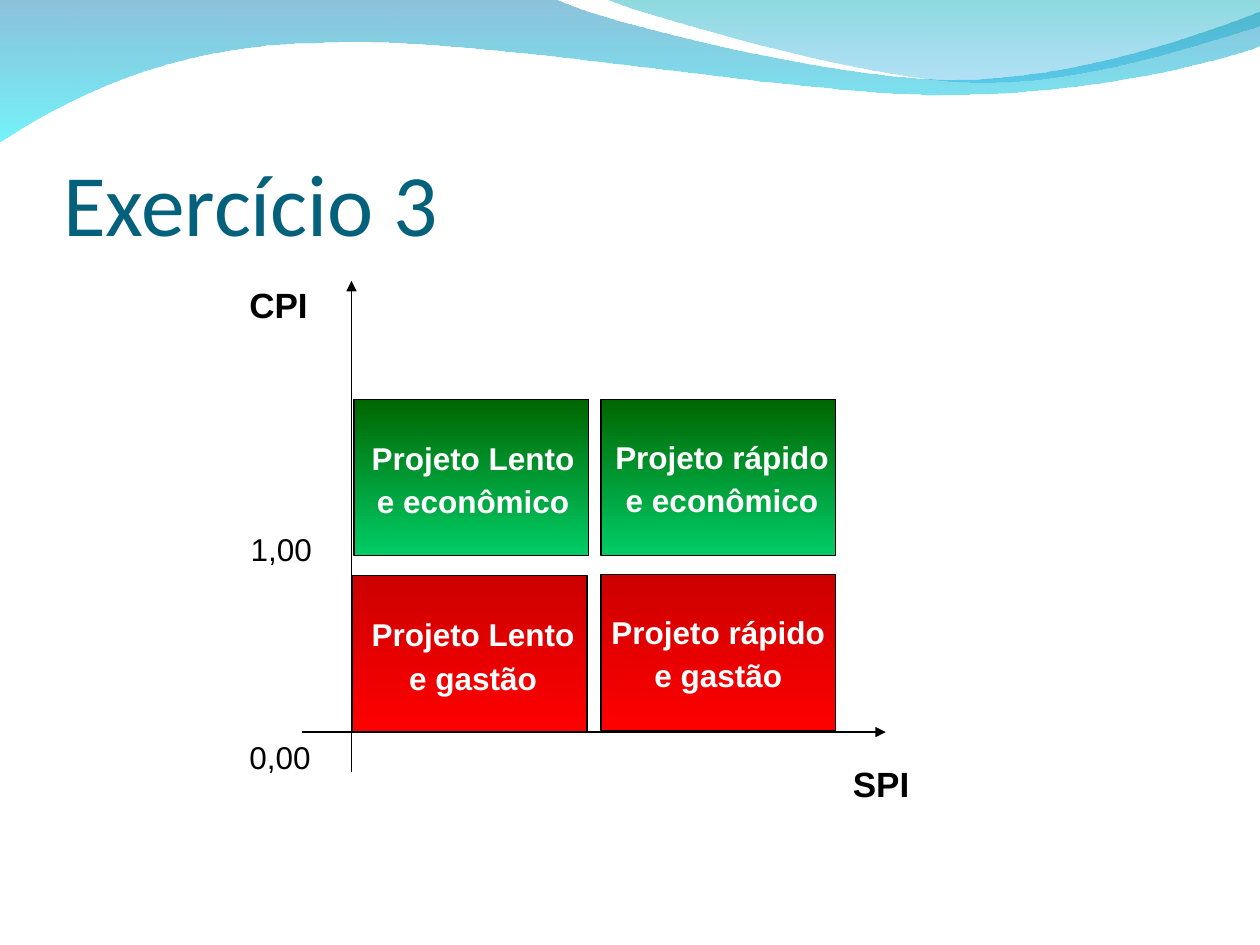
from lxml import etree
from pptx import Presentation
from pptx.dml.color import RGBColor
from pptx.enum import shapes, text
from pptx.oxml import ns
from pptx.util import Inches, Pt


def color(hex_value):
    return RGBColor.from_string(hex_value)


def fill_gradient(shape, stops):
    """Fill from top to bottom; each stop is (hex colour, opacity in percent)."""
    shape.fill.gradient()
    shape.fill.gradient_angle = 270
    for stop, (hex_value, opacity) in zip(shape.fill.gradient_stops, stops):
        stop.color.rgb = color(hex_value)
        if opacity < 100:
            for rgb in shape._element.spPr.iter(ns.qn("a:srgbClr")):
                if rgb.get("val") == hex_value:
                    etree.SubElement(rgb, ns.qn("a:alpha"), val=str(opacity * 1000))


def add_wave(slide, start, segments, stops):
    """A segment is one point for a line, or three points for a curve."""
    points = [(Inches(x), Inches(y)) for segment in segments for x, y in segment]
    builder = slide.shapes.build_freeform(*map(Inches, start))
    builder.add_line_segments(points, close=True)
    wave = builder.convert_to_shape()
    wave.shadow.inherit = False
    wave.line.fill.background()
    fill_gradient(wave, stops)

    # Join each group of three points into one cubic curve
    steps = iter(list(wave._element.spPr.iter(ns.qn("a:lnTo"))))
    for segment in segments:
        group = [next(steps) for _ in segment]
        if len(group) == 3:
            curve = etree.Element(ns.qn("a:cubicBezTo"))
            group[0].addprevious(curve)
            for step in group:
                curve.append(step[0])
                step.getparent().remove(step)


def add_header_waves(slide):
    add_wave(
        slide, (0, -0.01),
        [[(4.4, -0.01)],
         [(4.76, 0.17), (6.64, 0.63), (7.58, 0.63)],
         [(8.53, 0.63), (9.58, 0.26), (10, 0.09)],
         [(10.01, 0.36)],
         [(9.83, 0.44), (8.7, 0.76), (7.46, 0.75)],
         [(6.22, 0.75), (3.82, 0.28), (2.57, 0.34)],
         [(1.29, 0.35), (0.46, 0.83), (-0.01, 1.13)]],
        [("0079AF", 45), ("00EBF8", 55)],
    )
    add_wave(
        slide, (4.79, -0.01),
        [[(5.09, 0.11), (6.82, 0.62), (7.69, 0.65)],
         [(8.56, 0.69), (9.61, 0.32), (10, 0.21)],
         [(10, 0)]],
        [("00ADB6", 45), ("009BE5", 30)],
    )


def write(paragraph, words, size, hex_value, font="Arial", bold=False):
    run = paragraph.add_run()
    run.text = words
    run.font.name = font
    run.font.size = Pt(size)
    run.font.bold = bold
    run.font.color.rgb = color(hex_value)


def add_title(slide, left, top, width, height):
    title = slide.shapes.title
    title.left, title.top = Inches(left), Inches(top)
    title.width, title.height = Inches(width), Inches(height)
    frame = title.text_frame
    frame.margin_left = frame.margin_right = frame.margin_bottom = 0
    frame.margin_top = Inches(0.05)
    frame.vertical_anchor = text.MSO_ANCHOR.BOTTOM
    frame.paragraphs[0].alignment = text.PP_ALIGN.LEFT
    write(frame.paragraphs[0], "Exercício 3", 50, "04617B", font="Calibri")


def add_label(slide, left, top, width, height):
    box = slide.shapes.add_textbox(*map(Inches, (left, top, width, height)))
    box.text_frame.word_wrap = True
    box.text_frame.auto_size = text.MSO_AUTO_SIZE.SHAPE_TO_FIT_TEXT
    return box.text_frame.paragraphs[0]


def add_axis(slide, start, end):
    axis = slide.shapes.add_connector(
        shapes.MSO_CONNECTOR.STRAIGHT, *map(Inches, start + end))
    axis.line.color.rgb = color("000000")
    axis.line.width = Pt(0.75)
    etree.SubElement(axis.line._get_or_add_ln(), ns.qn("a:tailEnd"), type="triangle")
    etree.SubElement(axis._element.spPr, ns.qn("a:effectLst"))


def add_quadrant(slide, words, stops, left, top, label_box):
    block = slide.shapes.add_shape(
        shapes.MSO_SHAPE.RECTANGLE, *map(Inches, (left, top, 1.86, 1.24)))
    block.shadow.inherit = False
    fill_gradient(block, stops)
    block.line.color.rgb = color("000000")
    block.line.width = Pt(0.75)
    paragraph = add_label(slide, *label_box)
    paragraph.alignment = text.PP_ALIGN.CENTER
    paragraph.line_spacing = 1.15
    write(paragraph, words, 18, "FFFFFF", bold=True)


def add_matrix(slide, left, top):
    """CPI by SPI chart; left and top locate the tip of the CPI axis."""
    floor = top + 3.58

    # Axes
    add_axis(slide, (left, top + 3.9), (left, top))
    add_axis(slide, (left - 0.39, floor), (left + 4.24, floor))

    # Quadrants: block corner, then label corner and width
    green = [("006600", 100), ("00CC66", 100)]
    red = [("CC0000", 100), ("FF0000", 100)]
    for words, stops, x, y, label_x, label_y, label_width in (
        ("Projeto Lento e econômico", green, 0.02, 0.94, 0.05, 1.16, 1.83),
        ("Projeto rápido e econômico", green, 1.98, 0.94, 1.98, 1.15, 1.92),
        ("Projeto Lento e gastão", red, 0.01, 2.34, 0.05, 2.56, 1.83),
        ("Projeto rápido e gastão", red, 1.98, 2.33, 1.95, 2.54, 1.92),
    ):
        add_quadrant(slide, words, stops, left + x, top + y,
                     (left + label_x, top + label_y, label_width, 0.79))

    # Axis values and names
    for words, x, y, height, size, bold in (
        ("1,00", left - 0.9, top + 1.93, 0.4, 18, False),
        ("0,00", left - 0.91, floor, 0.4, 18, False),
        ("CPI", left - 0.91, top - 0.03, 0.44, 20, True),
        ("SPI", left + 3.88, floor + 0.19, 0.44, 20, True),
    ):
        write(add_label(slide, x, y, 0.75, height), words, size, "000000", bold=bold)


def main():
    deck = Presentation()
    deck.slide_width, deck.slide_height = Inches(10), Inches(7.5)
    slide = deck.slides.add_slide(deck.slide_layouts[5])
    add_header_waves(slide)
    add_title(slide, 0.5, 0.77, 9, 1.25)
    add_matrix(slide, 2.79, 2.23)
    deck.save("out.pptx")


if __name__ == "__main__":
    main()
